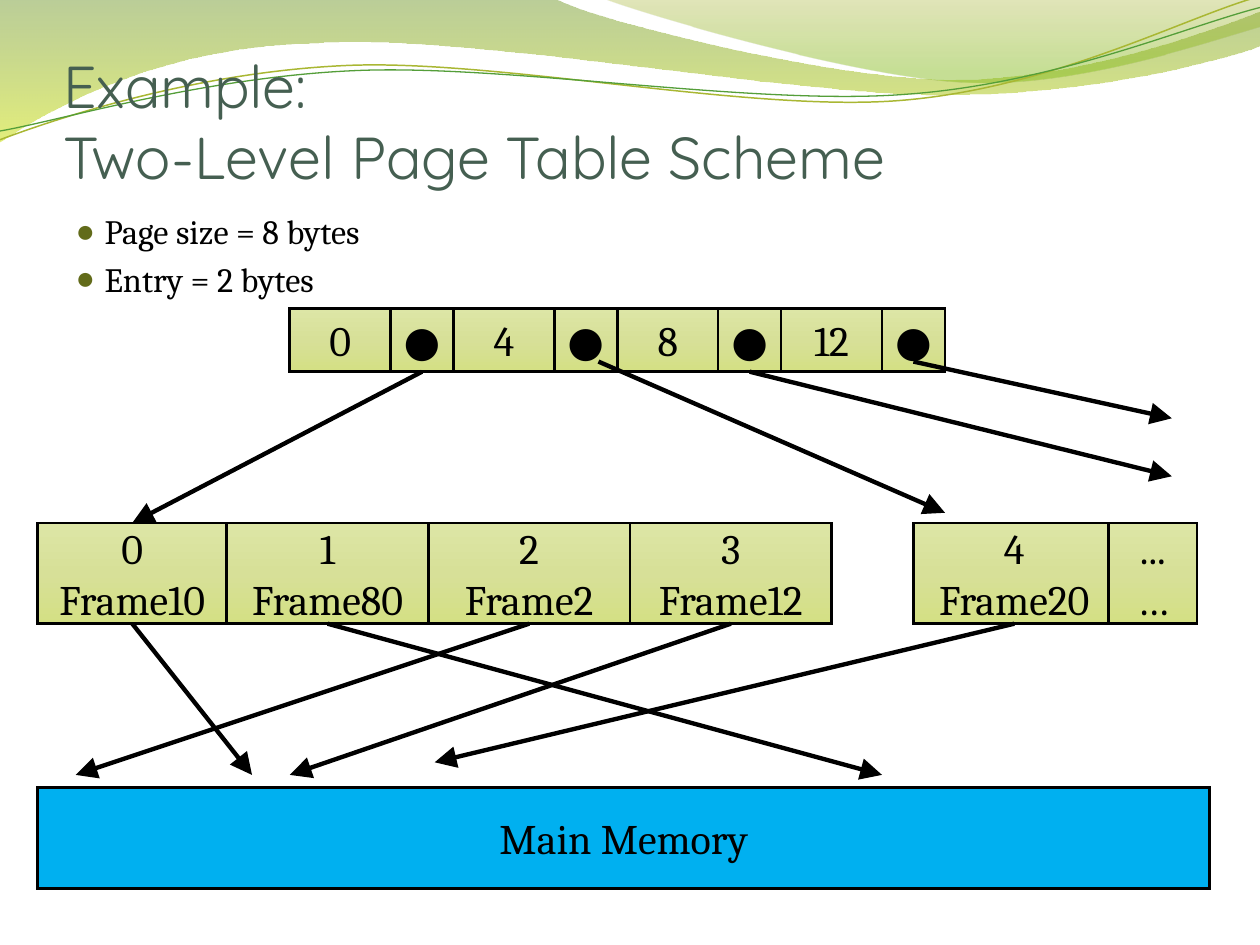
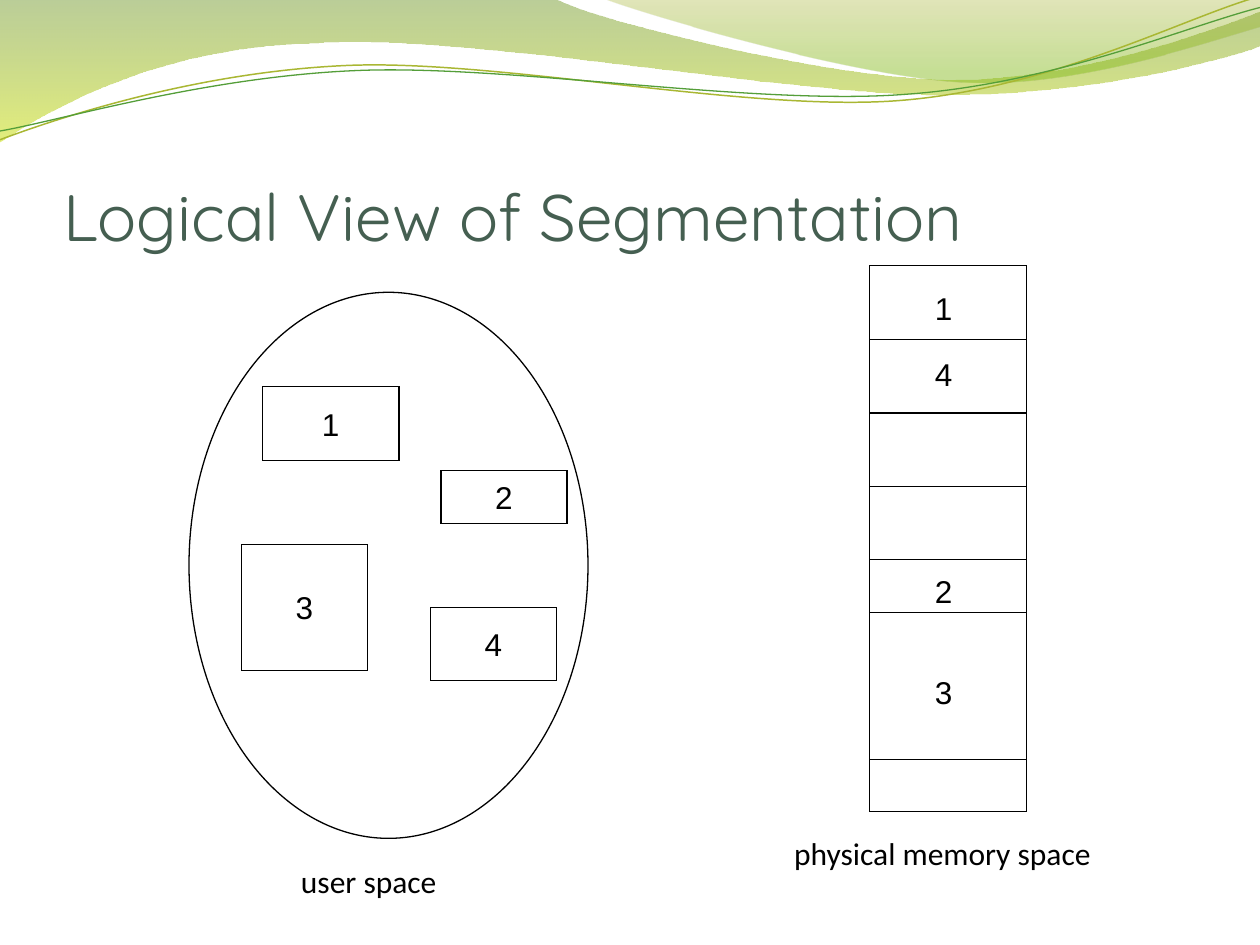
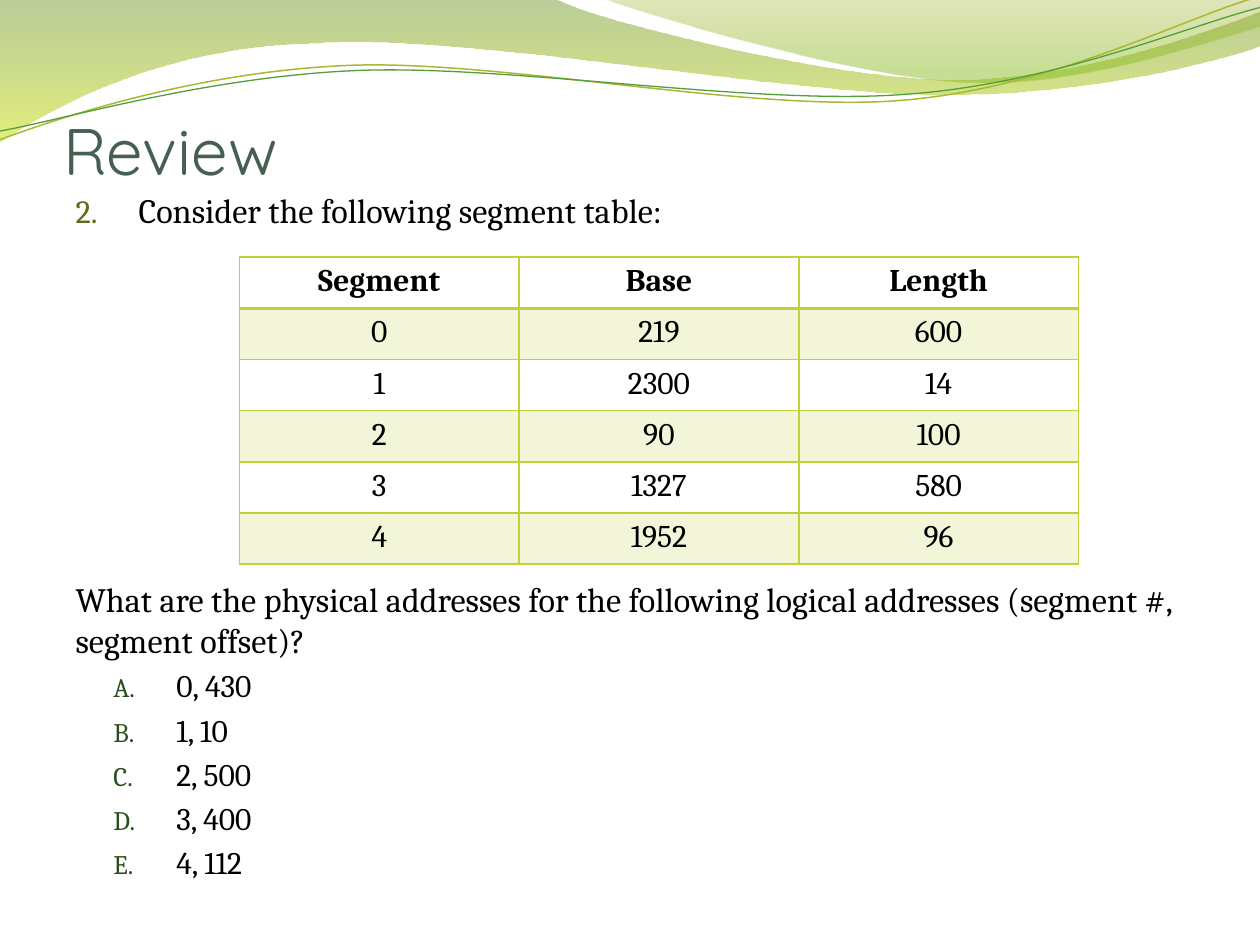
from collections import namedtuple
from math import cos, radians, sin

from lxml import etree
from pptx import Presentation
from pptx.dml.color import RGBColor
from pptx.enum.shapes import MSO_CONNECTOR, MSO_SHAPE
from pptx.enum.text import MSO_ANCHOR, MSO_AUTO_SIZE, PP_ALIGN
from pptx.oxml import parse_xml
from pptx.oxml.ns import nsdecls, qn
from pptx.util import Inches, Pt

RECTANGLE, OVAL = MSO_SHAPE.RECTANGLE, MSO_SHAPE.OVAL
STRAIGHT = MSO_CONNECTOR.STRAIGHT
CENTER, LEFT = PP_ALIGN.CENTER, PP_ALIGN.LEFT
TOP, MIDDLE, BOTTOM = MSO_ANCHOR.TOP, MSO_ANCHOR.MIDDLE, MSO_ANCHOR.BOTTOM
FIXED_SIZE, GROW = MSO_AUTO_SIZE.NONE, MSO_AUTO_SIZE.SHAPE_TO_FIT_TEXT

TITLE_FONT, BODY_FONT, LABEL_FONT, CAPTION_FONT = "Quicksand", "Cambria", "Arial", "Calibri"
BLACK, WHITE, TITLE_GREEN = "000000", "FFFFFF", "455F51"
MEMORY_BLUE, TABLE_LIME, TABLE_STRIPE = "00B0F0", "C0CF3A", "F2F5D8"
BULLET_OLIVE, BULLET_GREEN = "626B1A", "2A4F1C"
CELL_GRADIENT = [(0, "DDE6A6", 100), (50, "D7E098", 100), (100, "D4E084", 100)]
TWELFTH = 1 / 12  # grid step of the segmentation diagram, in inches
WAVE_TILT = 357.3  # degrees

Box = namedtuple("Box", "left top width height")

# Waves: start point, then straight (x, y) or cubic (x1, y1, x2, y2, x, y) steps.
FILLED_WAVES = [
    ([(0, 0), (4.4, -0.01), (4.75, 0.17, 6.63, 0.63, 7.58, 0.63),
      (8.53, 0.63, 9.58, 0.26, 10, 0.09), (10.01, 0.36),
      (9.83, 0.44, 8.69, 0.76, 7.46, 0.75), (6.22, 0.75, 3.81, 0.28, 2.57, 0.34),
      (1.29, 0.36, 0.46, 0.83, -0.01, 1.13), (0, 0)],
     [(0, "69921C", 45), (100, "CCE10F", 55)]),
    ([(4.79, -0.01), (5.09, 0.11, 6.82, 0.62, 7.68, 0.65),
      (8.55, 0.69, 9.61, 0.32, 10, 0.21), (10, 0), (4.79, -0.01)],
     [(0, "9BAA1A", 30), (80, "81BA16", 45)]),
]
# Line waves also name the centre of their tilt, their colour and their width.
LINE_WAVES = [
    ([(0, 1.11), (0.48, 0.93, 1.57, 0.57, 2.76, 0.52),
      (3.95, 0.47, 5.92, 0.89, 7.12, 0.8), (8.33, 0.71, 9.38, 0.15, 9.97, -0.02)],
     (4.99, 0.57), "A9B733", 0.85),
    ([(0, 1.04), (0.47, 0.96, 1.63, 0.61, 2.83, 0.56),
      (4.02, 0.51, 5.97, 0.84, 7.17, 0.75), (8.36, 0.67, 9.41, 0.21, 10, 0.06)],
     (5, 0.59), "549E39", 0.75),
]


def color(hex_string):
    return RGBColor.from_string(hex_string)


def emu(box):
    return [Inches(length) for length in box]


def move(shape, box):
    shape.left, shape.top, shape.width, shape.height = emu(box)


def add_run(paragraph, text, font, size, hex_string=BLACK, bold=False):
    run = paragraph.add_run()
    run.text = text
    run.font.name, run.font.size, run.font.bold = font, Pt(size), bold
    run.font.color.rgb = color(hex_string)


def fill_gradient(shape, stops):
    """Fill from top to bottom with (position, colour, opacity) stops in percent."""
    shape.fill.background()
    stop_xml = "".join(
        f'<a:gs pos="{position * 1000}"><a:srgbClr val="{hex_string}">'
        f'<a:alpha val="{opacity * 1000}"/></a:srgbClr></a:gs>'
        for position, hex_string, opacity in stops)
    gradient = parse_xml(f'<a:gradFill {nsdecls("a")} rotWithShape="1"><a:gsLst>{stop_xml}</a:gsLst>'
                         '<a:lin ang="5400000" scaled="0"/></a:gradFill>')
    properties = shape.element.spPr
    properties.replace(properties.find(qn("a:noFill")), gradient)


def set_line(shape, hex_string, width):
    """Set colour and width with mitred corners; return the outline element."""
    shape.line.color.rgb = color(hex_string)
    shape.line.width = Pt(width)
    outline = shape.element.spPr.find(qn("a:ln"))
    etree.SubElement(outline, qn("a:miter"), lim="800000")
    return outline


def add_lines(frame, lines, font, size):
    """Write centred paragraphs, one for each line."""
    frame.vertical_anchor = MIDDLE
    for index, line in enumerate(lines):
        paragraph = frame.add_paragraph() if index else frame.paragraphs[0]
        paragraph.alignment = CENTER
        add_run(paragraph, line, font, size)


def add_box(parent, box, lines=(), fill=WHITE, font=LABEL_FONT, size=18,
            line_width=0.75, preset=RECTANGLE, wrap=False):
    """Add an outlined shape; fill is a colour or a list of gradient stops."""
    shape = parent.shapes.add_shape(preset, *emu(box))
    shape.shadow.inherit = False
    if isinstance(fill, str):
        shape.fill.solid()
        shape.fill.fore_color.rgb = color(fill)
    else:
        fill_gradient(shape, fill)
    set_line(shape, BLACK, line_width)
    shape.text_frame.word_wrap = wrap
    add_lines(shape.text_frame, lines, font, size)


def add_label(parent, box, text, font):
    frame = parent.shapes.add_textbox(*emu(box)).text_frame
    frame.word_wrap, frame.auto_size = False, GROW
    add_lines(frame, [text], font, 18)


def add_line(parent, start, end, width):
    """Add a straight connector and return its outline element."""
    connector = parent.shapes.add_connector(STRAIGHT, *emu(start + end))
    outline = set_line(connector, BLACK, width)
    etree.SubElement(connector.element.spPr, qn("a:effectLst"))
    return outline


def add_arrow(slide, start, end):
    outline = add_line(slide, start, end, 2.5)
    etree.SubElement(outline, qn("a:tailEnd"), type="triangle", w="lg", len="lg")


def untilt(point, center):
    """Undo the tilt of a wave, which its shape gets back as rotation."""
    angle = radians(360 - WAVE_TILT)
    across, down = point[0] - center[0], point[1] - center[1]
    return (center[0] + across * cos(angle) - down * sin(angle),
            center[1] + across * sin(angle) + down * cos(angle))


def add_wave(slide, steps, center=None):
    """Lay out every point as a polyline, then merge the points of cubic steps into curves."""
    points = [step[index:index + 2] for step in steps for index in range(0, len(step), 2)]
    if center:
        points = [untilt(point, center) for point in points]
    first, *others = [(round(x * 1000), round(y * 1000)) for x, y in points]
    builder = slide.shapes.build_freeform(*first, scale=Inches(1) / 1000)
    builder.add_line_segments(others, close=center is None)
    shape = builder.convert_to_shape()
    shape.shadow.inherit = False
    segments = iter(list(shape.element.iter(qn("a:lnTo"))))
    for step in steps[1:]:
        segment = next(segments)
        if len(step) == 6:
            segment.tag = qn("a:cubicBezTo")
            for follower in (next(segments), next(segments)):
                segment.append(follower[0])
                follower.getparent().remove(follower)
    return shape


def add_waves_to_master(presentation, slide):
    """Draw the waves on a slide, then hand them to the master behind its placeholders."""
    waves = []
    for steps, stops in FILLED_WAVES:
        wave = add_wave(slide, steps)
        fill_gradient(wave, stops)
        wave.line.fill.background()
        waves.append(wave)
    for steps, center, hex_string, width in LINE_WAVES:
        wave = add_wave(slide, steps, center)
        wave.rotation = WAVE_TILT
        wave.fill.background()
        set_line(wave, hex_string, width)
        waves.append(wave)
    master_tree = presentation.slide_master.shapes.element
    for index, wave in enumerate(waves):
        wave.element.nvSpPr.cNvPr.set("id", str(100 + index))
        master_tree.insert(2 + index, wave.element)


def set_title(slide, lines, top, size=37.5):
    title = slide.shapes.title
    move(title, Box(0.5, top, 9, 1.25))
    frame = title.text_frame
    frame.auto_size, frame.word_wrap, frame.vertical_anchor = FIXED_SIZE, True, BOTTOM
    frame.margin_left = frame.margin_right = frame.margin_bottom = 0
    frame.margin_top = Inches(0.05)
    paragraph = frame.paragraphs[0]
    paragraph.alignment = LEFT
    for index, line in enumerate(lines):
        if index:
            paragraph.add_line_break()
        add_run(paragraph, line, TITLE_FONT, size, TITLE_GREEN)


def set_bullet(paragraph, margin, hang, mark, hex_string=BLACK, percent=100, font=BODY_FONT):
    """Indent a paragraph in inches and give it a bullet mark element."""
    properties = paragraph._p.get_or_add_pPr()
    properties.set("marL", str(Inches(margin)))
    properties.set("indent", str(Inches(-hang)))
    for xml in (f'<a:buClr {nsdecls("a")}><a:srgbClr val="{hex_string}"/></a:buClr>',
                f'<a:buSzPct {nsdecls("a")} val="{percent * 1000}"/>',
                f'<a:buFont {nsdecls("a")} typeface="{font}"/>',
                f'<a:{mark} {nsdecls("a")}/>'):
        properties.append(parse_xml(xml))


def set_body(slide, box, items):
    """Fill the body with (text, size, level, space before or None, bullet settings) items."""
    body = slide.placeholders[1]
    move(body, box)
    frame = body.text_frame
    frame.auto_size, frame.word_wrap, frame.vertical_anchor = FIXED_SIZE, True, TOP
    for index, (text, size, level, space_before, bullet) in enumerate(items):
        paragraph = frame.add_paragraph() if index else frame.paragraphs[0]
        paragraph.level = level
        if space_before:
            paragraph.space_before = Pt(space_before)
        set_bullet(paragraph, **bullet)
        add_run(paragraph, text, BODY_FONT, size)


def add_table_cells(slide, left, top, height, cells):
    """Lay (width, lines) cells side by side; return the middle of each bottom edge."""
    anchors = []
    for width, lines in cells:
        add_box(slide, Box(left, top, width, height), lines, CELL_GRADIENT,
                BODY_FONT, 24, 1.5, wrap=lines != ["●"])
        anchors.append((left + width / 2, top + height))
        left += width
    return anchors


def build_page_table_slide(slide):
    set_title(slide, ["Example: ", "Two-Level Page Table Scheme"], 0.27, 33.75)
    dot = dict(margin=0.23, hang=0.23, mark='buChar char="●"', hex_string=BULLET_OLIVE,
               percent=95, font=LABEL_FONT)
    set_body(slide, Box(0.5, 1.62, 9, 4.8),
             [(text, 19.5, 0, None, dot) for text in ("Page size = 8 bytes", "Entry = 2 bytes")])

    outer_cells = [cell for page in ("0", "4", "8", "12") for cell in ((0.8, [page]), (0.5, ["●"]))]
    pointers = add_table_cells(slide, 2.3, 2.45, 0.5, outer_cells)[1::2]
    frames = ["Frame10", "Frame80", "Frame2", "Frame12"]
    inner_cells = [(1.6 if page else 1.5, [str(page), frame]) for page, frame in enumerate(frames)]
    entries = add_table_cells(slide, 0.3, 4.15, 0.8, inner_cells)
    entries += add_table_cells(slide, 7.25, 4.15, 0.8, [(1.6, ["4", "Frame20"])])
    add_table_cells(slide, 8.8, 4.15, 0.8, [(0.7, ["...", "…"])])
    add_box(slide, Box(0.3, 6.25, 9.3, 0.8), ["Main Memory"], MEMORY_BLUE,
            BODY_FONT, 24, 1.5, wrap=True)

    pointer_shifts = [(0, 0), (0.1, -0.08), (0, 0), (0, -0.08)]
    starts = [(x + right, y + down) for (x, y), (right, down) in zip(pointers, pointer_shifts)]
    inner_targets = [(1.05, 4.15), (7.5, 4.07), (9.3, 3.78), (9.3, 3.32)]
    memory_targets = [(2, 6.15), (7, 6.15), (0.6, 6.15), (2.3, 6.15), (3.45, 6.05)]
    for start, end in zip(starts + entries, inner_targets + memory_targets):
        add_arrow(slide, start, end)


def add_user_space(slide, left, top):
    """Draw the address space and its segments on a grid of twelfths."""
    add_box(slide, Box(left, top, 38 * TWELFTH, 52 * TWELFTH), preset=OVAL)
    segments = {"1": (7, 9, 13, 7), "3": (5, 24, 12, 12), "2": (24, 17, 12, 5), "4": (23, 30, 12, 7)}
    for name, (column, row, columns, rows) in segments.items():
        add_box(slide, Box(left + column * TWELFTH, top + row * TWELFTH,
                           columns * TWELFTH, rows * TWELFTH), [name])


def add_physical_memory(slide, left, top):
    """Stack memory blocks, given in twelfths, some split by a line below their first rows."""
    group = slide.shapes.add_group_shape()
    width, block_top = 15 * TWELFTH, top
    for rows, split in ((14, 7), (14, 7), (19, 5), (5, None)):
        add_box(group, Box(left, block_top, width, rows * TWELFTH))
        if split:
            split_top = block_top + split * TWELFTH
            add_line(group, (left, split_top), (left + width, split_top), 0.75)
        block_top += rows * TWELFTH
    for name, offset in (("1", 0.13), ("4", 0.66), ("2", 2.38), ("3", 3.18)):
        add_label(group, Box(left + 0.42, top + offset, 0.34, 0.4), name, LABEL_FONT)


def build_segmentation_slide(slide):
    set_title(slide, ["Logical View of Segmentation"], 0.77)
    add_user_space(slide, 1.5, 2.32)
    add_physical_memory(slide, 6.9, 2.11)
    add_label(slide, Box(2.28, 6.79, 1.35, 0.4), "user space ", CAPTION_FONT)
    add_label(slide, Box(6.19, 6.57, 2.58, 0.4), "physical memory space", CAPTION_FONT)


def set_borders(cell, bottom_width):
    properties = cell._tc.get_or_add_tcPr()
    widths = {"lnL": 1, "lnR": 1, "lnT": 1, "lnB": bottom_width}
    for index, (side, width) in enumerate(widths.items()):
        properties.insert(index, parse_xml(
            f'<a:{side} {nsdecls("a")} w="{Pt(width)}"><a:solidFill>'
            f'<a:srgbClr val="{TABLE_LIME}"/></a:solidFill></a:{side}>'))


def add_segment_table(slide, box, rows):
    table = slide.shapes.add_table(len(rows), len(rows[0]), *emu(box)).table
    table.horz_banding = False
    for row_index, values in enumerate(rows):
        header = row_index == 0
        for column_index, value in enumerate(values):
            cell = table.cell(row_index, column_index)
            if row_index % 2:
                cell.fill.solid()
                cell.fill.fore_color.rgb = color(TABLE_STRIPE)
            else:
                cell.fill.background()
            set_borders(cell, 2 if header else 1)
            paragraph = cell.text_frame.paragraphs[0]
            paragraph.alignment = CENTER
            add_run(paragraph, value, BODY_FONT, 18, bold=header)


def build_review_slide(slide):
    set_title(slide, ["Review"], 0.25)
    number = dict(margin=0.5, hang=0.5, mark='buAutoNum type="arabicPeriod" startAt="2"',
                  hex_string=BULLET_OLIVE, percent=95)
    letter = dict(margin=0.8, hang=0.5, mark='buAutoNum type="alphaUcPeriod"',
                  hex_string=BULLET_GREEN, percent=85)
    plain = dict(margin=0, hang=0, mark="buNone")
    question = ("What are the physical addresses for the following logical addresses "
                "(segment #, segment offset)?")
    addresses = ["0, 430", "1, 10", "2, 500", "3, 400", "4, 112"]
    set_body(slide, Box(0.5, 1.45, 9.2, 6.1),
             [("Consider the following segment table:", 19.5, 0, None, number),
              (question, 19.5, 0, 199, plain)]
             + [(address, 18, 1, None, letter) for address in addresses])
    add_segment_table(slide, Box(1.9, 2.04, 6.66, 2.44), [
        ("Segment", "Base", "Length"),
        ("0", "219", "600"),
        ("1", "2300", "14"),
        ("2", "90", "100"),
        ("3", "1327", "580"),
        ("4", "1952", "96"),
    ])


def main():
    presentation = Presentation()
    presentation.slide_width, presentation.slide_height = Inches(10), Inches(7.5)
    title_and_body, title_only = presentation.slide_layouts[1], presentation.slide_layouts[5]
    pages = [(title_and_body, build_page_table_slide),
             (title_only, build_segmentation_slide),
             (title_and_body, build_review_slide)]
    for index, (layout, build) in enumerate(pages):
        slide = presentation.slides.add_slide(layout)
        if index == 0:
            add_waves_to_master(presentation, slide)
        build(slide)
    presentation.save("out.pptx")


if __name__ == "__main__":
    main()
